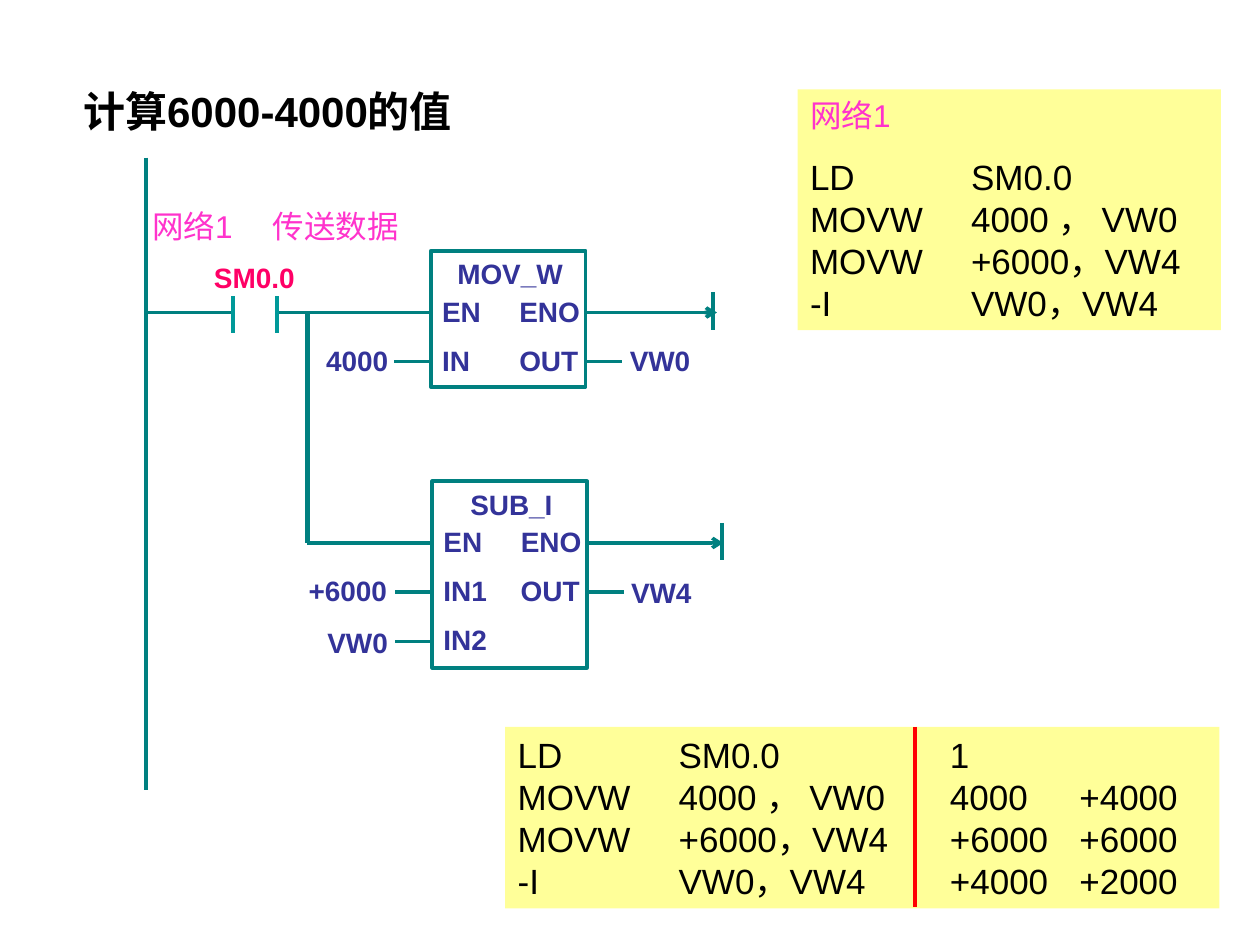
"""Build a slide with a ladder diagram and statement lists for 6000-4000."""
from lxml import etree
from pptx import Presentation
from pptx.dml.color import RGBColor
from pptx.enum.shapes import MSO_CONNECTOR, MSO_SHAPE
from pptx.enum.text import MSO_ANCHOR, MSO_AUTO_SIZE, PP_ALIGN
from pptx.oxml.ns import qn
from pptx.util import Pt

STRAIGHT = MSO_CONNECTOR.STRAIGHT
RECTANGLE = MSO_SHAPE.RECTANGLE
TOP = MSO_ANCHOR.TOP
NO_AUTOFIT = MSO_AUTO_SIZE.NONE
LEFT, CENTER = PP_ALIGN.LEFT, PP_ALIGN.CENTER

TEAL = RGBColor(0x00, 0x80, 0x80)
CONTACT_TEAL = RGBColor(0x00, 0x99, 0x99)
NAVY = RGBColor(0x33, 0x33, 0x99)
CRIMSON = RGBColor(0xFF, 0x00, 0x66)
MAGENTA = RGBColor(0xFF, 0x33, 0xCC)
YELLOW = RGBColor(0xFF, 0xFF, 0x99)
RED = RGBColor(0xFF, 0x00, 0x00)
BLACK = RGBColor(0x00, 0x00, 0x00)

TITLE = {"size": Pt(24), "bold": True, "color": BLACK}
LABEL = {"size": Pt(16), "bold": True, "color": NAVY}
CONTACT = {"size": Pt(16), "bold": True, "color": CRIMSON}
HEADING = {"size": Pt(18), "bold": False, "color": MAGENTA}
CODE = {"size": Pt(20), "bold": False, "color": BLACK}

FIRST_WIRE, ROW_PITCH = 35.3, 28.1
BLOCK_WIDTH, STUB = 88.5, 21
LABEL_HEIGHT = 26.6


class LadderSlide:
    """Hold the font and the current slide, and draw its elements."""

    def __init__(self, slide, font_name):
        self.slide = slide
        self.font_name = font_name

    def fill_paragraph(self, paragraph, text, style, align=LEFT, tabs=()):
        if tabs:
            properties = paragraph._p.get_or_add_pPr()
            tab_list = etree.SubElement(properties, qn("a:tabLst"))
            for position in tabs:
                etree.SubElement(tab_list, qn("a:tab"), pos=str(Pt(position)), algn="l")
        paragraph.text = text
        paragraph.alignment = align
        for run in paragraph.runs:
            run.font.name = self.font_name
            for name, value in style.items():
                if name == "color":
                    run.font.color.rgb = value
                else:
                    setattr(run.font, name, value)

    def frame(self, shape, wrap):
        text_frame = shape.text_frame
        settings = {
            "margin_left": Pt(7.2), "margin_right": Pt(7.2),
            "margin_top": Pt(3.6), "margin_bottom": Pt(3.6),
            "word_wrap": wrap, "auto_size": NO_AUTOFIT, "vertical_anchor": TOP,
        }
        for name, value in settings.items():
            setattr(text_frame, name, value)
        return text_frame

    def title(self, text, left, top, width, height):
        shape = self.slide.shapes.title
        box = {"left": left, "top": top, "width": width, "height": height}
        for name, value in box.items():
            setattr(shape, name, Pt(value))
        self.fill_paragraph(self.frame(shape, False).paragraphs[0], text, TITLE)

    def label(self, text, left, top, width, style=LABEL, height=LABEL_HEIGHT, **layout):
        shape = self.slide.shapes.add_textbox(Pt(left), Pt(top), Pt(width), Pt(height))
        self.fill_paragraph(self.frame(shape, False).paragraphs[0], text, style, **layout)

    def line(self, x1, y1, x2, y2, color=TEAL, width=2, arrow=False):
        connector = self.slide.shapes.add_connector(
            STRAIGHT, Pt(x1), Pt(y1), Pt(x2), Pt(y2))
        connector.line.color.rgb = color
        connector.line.width = Pt(width)
        if arrow:
            etree.SubElement(connector.line._get_or_add_ln(), qn("a:tailEnd"), type="arrow")
        etree.SubElement(connector._element.spPr, qn("a:effectLst"))

    def rectangle(self, left, top, width, height):
        shape = self.slide.shapes.add_shape(
            RECTANGLE, Pt(left), Pt(top), Pt(width), Pt(height))
        shape.shadow.inherit = False
        return shape

    def block(self, name, left, top, height, inputs, outputs):
        shape = self.rectangle(left, top, BLOCK_WIDTH, height)
        shape.fill.background()
        shape.line.color.rgb = TEAL
        shape.line.width = Pt(2)
        self.label(name, left + 1, top, BLOCK_WIDTH, align=CENTER)
        right = left + BLOCK_WIDTH
        sides = (
            (inputs, left - 0.7, left - STUB),
            (outputs, left + 43.5, right),
        )
        for pins, label_left, wire_left in sides:
            for row, (pin, width) in enumerate(pins):
                wire = top + FIRST_WIRE + row * ROW_PITCH
                self.label(pin, label_left, wire - 14, width)
                self.line(wire_left, wire, wire_left + STUB, wire)

    def output_rail(self, start, end, bar, y):
        self.line(start, y, end, y, arrow=True)
        self.line(bar, y - 11.5, bar, y + 9.8)

    def listing(self, left, top, width, height, paragraphs, tabs):
        shape = self.rectangle(left, top, width, height)
        shape.fill.solid()
        shape.fill.fore_color.rgb = YELLOW
        shape.line.fill.background()
        text_frame = self.frame(shape, True)
        for index, (text, style) in enumerate(paragraphs):
            paragraph = text_frame.add_paragraph() if index else text_frame.paragraphs[0]
            self.fill_paragraph(paragraph, text, style, tabs=tabs)
            if index:
                paragraph.space_before = Pt(12.5)


def main():
    presentation = Presentation()
    presentation.slide_width, presentation.slide_height = Pt(720), Pt(540)
    slide = presentation.slides.add_slide(presentation.slide_layouts[5])
    ladder = LadderSlide(slide, "Arial")

    ladder.title("计算6000-4000的值", 40.3, 45.4, 236.2, 36)
    ladder.label("网络1\t传送数据", 79.9, 114.5, 155.5, HEADING, 28.8, tabs=(69,))

    outputs = (("ENO", 49), ("OUT", 48.2))
    ladder.block("SUB_I", 247, 275, 106.6,
                 (("EN", 36.7), ("IN1", 38.9), ("IN2", 38.9)), outputs)
    ladder.block("MOV_W", 246.2, 143.3, 77.8, (("EN", 36.7), ("IN", 30.2)), outputs)

    move_y, subtract_y = 178.6, 310.3
    ladder.line(83.5, 90, 83.5, 451.4)
    ladder.line(83.5, move_y, 133.2, move_y)
    ladder.line(158.4, move_y, 225.4, move_y)
    ladder.line(175.7, subtract_y, 229, subtract_y)
    ladder.line(175.7, move_y, 175.7, subtract_y, width=2.5)
    for x in (133.2, 158.4):
        ladder.line(x, 169.2, x, 190.1, CONTACT_TEAL)
    ladder.label("SM0.0", 115.2, 145.4, 60.5, CONTACT)
    ladder.output_rail(352.8, 409.7, 407.5, move_y)
    ladder.output_rail(356.4, 413.3, 412.6, subtract_y)

    operands = (
        ("4000", 179.3, 193, 49.7),
        ("VW0", 352.8, 193, 49),
        ("+6000", 169.2, 324, 59),
        ("VW4", 353.5, 325.4, 49),
        ("VW0", 180, 354.2, 49),
    )
    for operand in operands:
        ladder.label(*operand)

    code = ("LD\tSM0.0", "MOVW\t4000 ， VW0", "MOVW\t+6000，VW4", "-I\tVW0，VW4")
    results = ("1", "4000\t+4000", "+6000\t+6000", "+4000\t+2000")
    traced = [f"{line}\t{result}" for line, result in zip(code, results)]
    ladder.listing(455.8, 51.1, 241.9, 137.5,
                   (("网络1", HEADING), ("\v".join(code), CODE)), (92,))
    ladder.listing(288.7, 415.4, 408.2, 103.7, (("\v".join(traced), CODE),), (92, 247, 321))
    ladder.line(522.7, 415.4, 522.7, 518.4, RED, 2.5)

    presentation.save("out.pptx")


if __name__ == "__main__":
    main()
